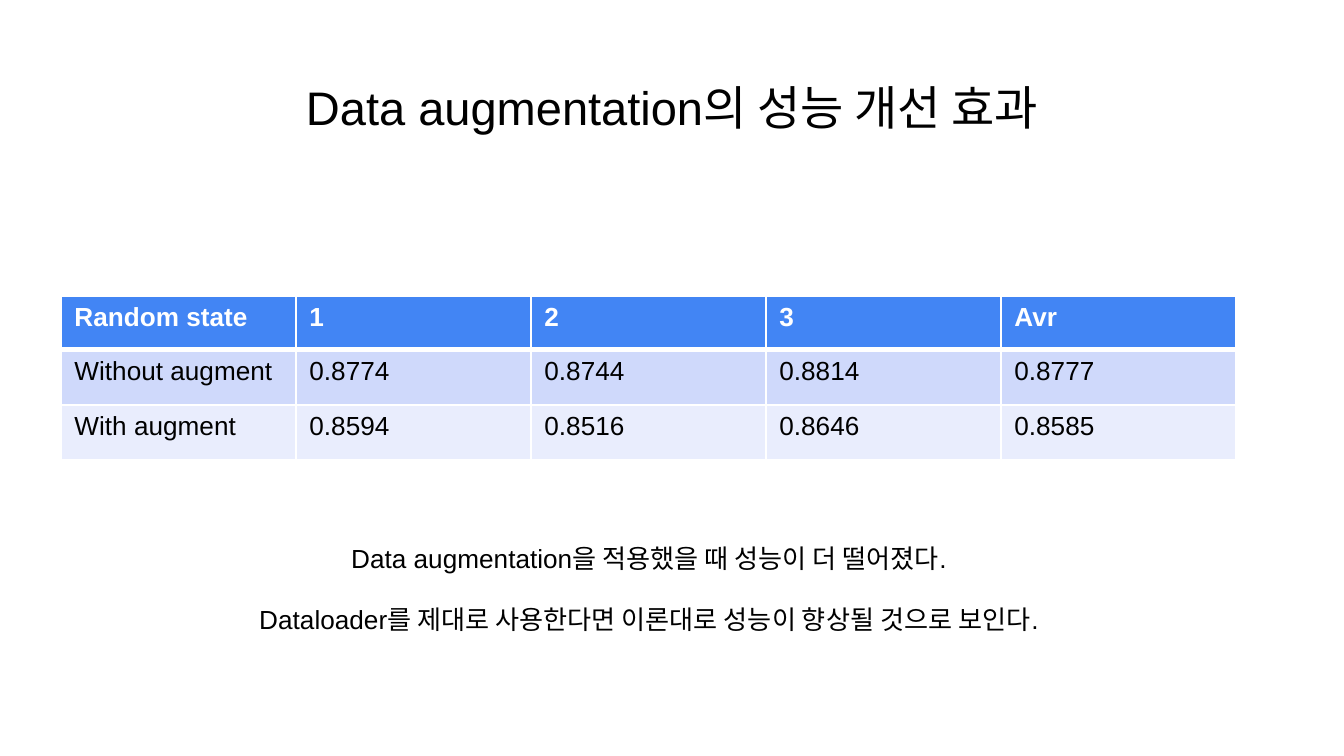
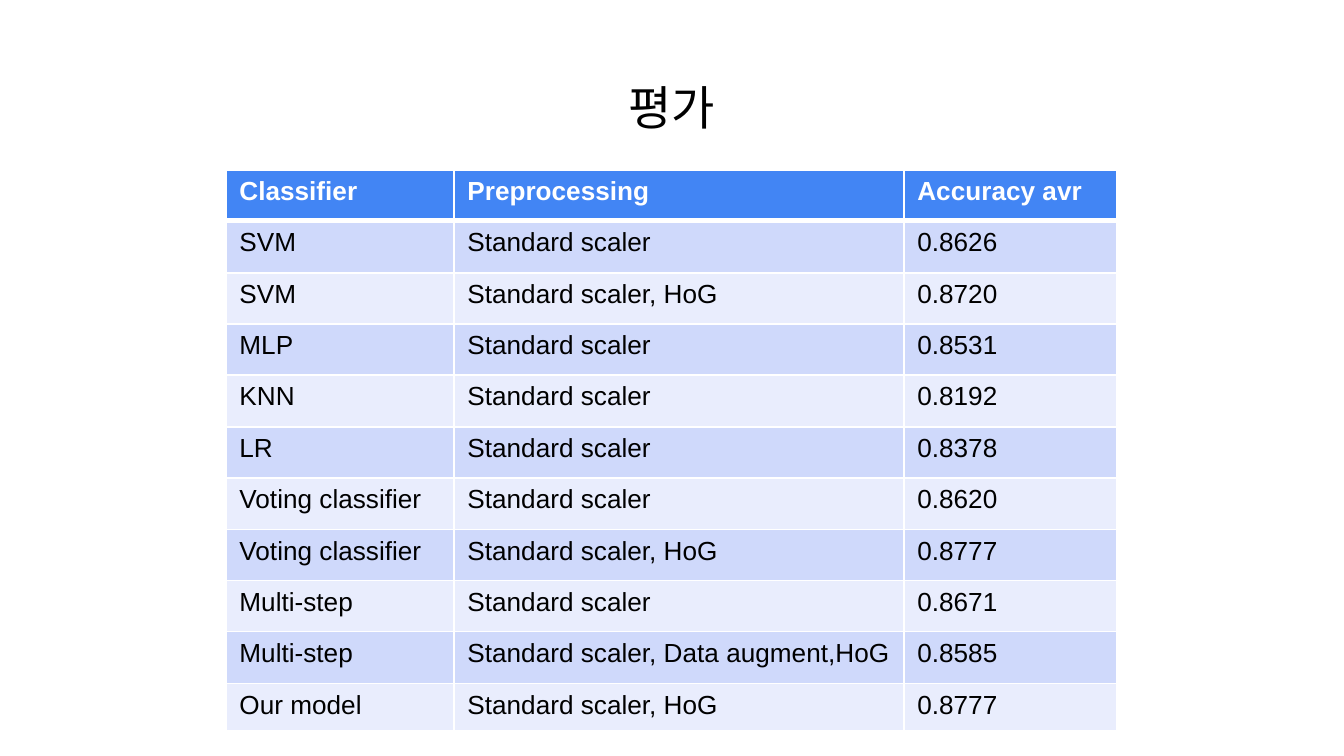
from lxml.etree import SubElement
from pptx import Presentation
from pptx.dml.color import RGBColor
from pptx.enum.text import MSO_ANCHOR as Anchor, MSO_AUTO_SIZE as AutoSize, PP_ALIGN as Align
from pptx.oxml.ns import qn
from pptx.util import Emu, Pt

EMU_PER_PX = 914400 / 134.4
SLIDE_WIDTH, SLIDE_HEIGHT = 1344, 756
FONT = "Arial"
BLACK, WHITE = "000000", "FFFFFF"
HEADER_FILL = "4285F4"
BAND_FILLS = ("CFD9FB", "E9EDFD")
BODY_SIZE, TITLE_SIZE = 14, 25.2
THIN, THICK = 1, 3

AUGMENT_ROWS = [
    ("Random state", "1", "2", "3", "Avr"),
    ("Without augment", "0.8774", "0.8744", "0.8814", "0.8777"),
    ("With augment", "0.8594", "0.8516", "0.8646", "0.8585"),
]
CONCLUSIONS = [
    "Data augmentation을 적용했을 때 성능이 더 떨어졌다.",
    "Dataloader를 제대로 사용한다면 이론대로 성능이 향상될 것으로 보인다.",
]
EVALUATION_ROWS = [
    ("Classifier", "Preprocessing", "Accuracy avr"),
    ("SVM", "Standard scaler", "0.8626"),
    ("SVM", "Standard scaler, HoG", "0.8720"),
    ("MLP", "Standard scaler", "0.8531"),
    ("KNN", "Standard scaler", "0.8192"),
    ("LR", "Standard scaler", "0.8378"),
    ("Voting classifier", "Standard scaler", "0.8620"),
    ("Voting classifier", "Standard scaler, HoG", "0.8777"),
    ("Multi-step", "Standard scaler", "0.8671"),
    ("Multi-step", "Standard scaler, Data augment,HoG", "0.8585"),
    ("Our model", "Standard scaler, HoG", "0.8777"),
]


def px(length):
    return Emu(round(length * EMU_PER_PX))


def color(value):
    return RGBColor.from_string(value)


def style_font(paragraph, size, font_color=BLACK, bold=False):
    font = paragraph.font
    font.name = FONT
    font.size = Pt(size)
    font.bold = bold
    font.color.rgb = color(font_color)


def add_text(slide, box, lines, size, gap=0):
    frame = slide.shapes.add_textbox(*map(px, box)).text_frame
    frame.word_wrap = True
    frame.vertical_anchor = Anchor.TOP
    frame.text = "\n".join(lines)
    for paragraph in frame.paragraphs:
        paragraph.alignment = Align.CENTER
        style_font(paragraph, size)
    for paragraph in frame.paragraphs[1:]:
        paragraph.space_before = Pt(gap)
    return frame


def add_title_slide(presentation, title):
    slide = presentation.slides.add_slide(presentation.slide_layouts[6])
    frame = add_text(slide, (46, 66, 1252, 84), [title], TITLE_SIZE)
    frame.margin_left = frame.margin_right = px(13)
    frame.margin_top = frame.margin_bottom = px(13)
    return slide


def set_borders(cell, top, bottom):
    properties = cell._tc.get_or_add_tcPr()
    for side, width in (("L", THIN), ("R", THIN), ("T", top), ("B", bottom)):
        line = SubElement(properties, qn(f"a:ln{side}"), w=str(Pt(width)))
        fill = SubElement(line, qn("a:solidFill"))
        SubElement(fill, qn("a:srgbClr"), val=WHITE)


def style_cell(cell, row_index):
    is_header = row_index == 0
    set_borders(cell, THICK if row_index == 1 else THIN, THICK if is_header else THIN)
    cell.fill.solid()
    cell.fill.fore_color.rgb = color(HEADER_FILL if is_header else BAND_FILLS[(row_index - 1) % 2])
    style_font(cell.text_frame.paragraphs[0], BODY_SIZE, WHITE if is_header else BLACK, is_header)


def add_table(slide, left, top, widths, heights, rows):
    box = (left, top, sum(widths), sum(heights))
    table = slide.shapes.add_table(len(rows), len(widths), *map(px, box)).table
    for column, width in zip(table.columns, widths):
        column.width = px(width)
    for row, height in zip(table.rows, heights):
        row.height = px(height)
    for row_index, values in enumerate(rows):
        for column_index, value in enumerate(values):
            cell = table.cell(row_index, column_index)
            cell.text = value
            style_cell(cell, row_index)


def add_augmentation_slide(presentation):
    slide = add_title_slide(presentation, "Data augmentation의 성능 개선 효과")
    add_table(slide, 61, 296, [235] * 5, [54, 55, 55], AUGMENT_ROWS)
    frame = add_text(slide, (216, 536, 866, 109), CONCLUSIONS, BODY_SIZE, gap=16)
    frame.auto_size = AutoSize.SHAPE_TO_FIT_TEXT


def add_evaluation_slide(presentation):
    slide = add_title_slide(presentation, "평가")
    heights = [51, 52, 51, 51, 52] * 2 + [47]
    add_table(slide, 226, 170, [228, 450, 213], heights, EVALUATION_ROWS)


def main():
    presentation = Presentation()
    presentation.slide_width = px(SLIDE_WIDTH)
    presentation.slide_height = px(SLIDE_HEIGHT)
    add_augmentation_slide(presentation)
    add_evaluation_slide(presentation)
    presentation.save("out.pptx")


if __name__ == "__main__":
    main()
